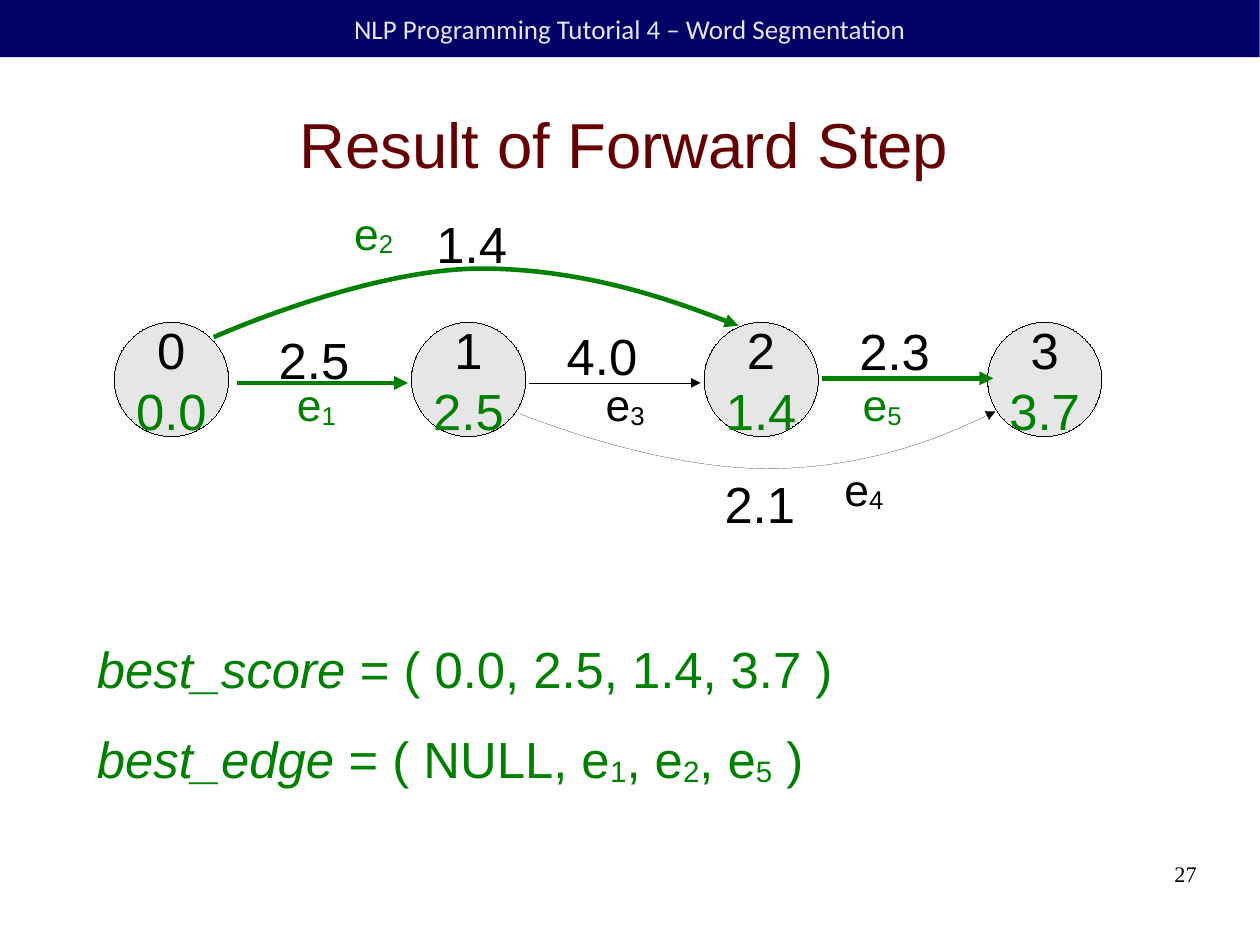
from lxml.etree import SubElement
from pptx import Presentation
from pptx.dml.color import RGBColor
from pptx.enum.shapes import MSO_CONNECTOR, MSO_SHAPE
from pptx.enum.text import MSO_ANCHOR, PP_ALIGN
from pptx.oxml.ns import qn
from pptx.util import Cm, Inches, Pt

BLACK, GREEN, GREY = "000000", "008000", "E6E6E6"
NAVY, LAVENDER, MAROON = "000066", "E6E6FF", "660000"
HAIRLINE, BOLD_LINE = 0, 2.89


def rgb(value):
    return RGBColor.from_string(value)


def add_text(paragraph, text, size=32, color=BLACK, font="Arial", italic=False, sub=False):
    run = paragraph.add_run()
    run.text = text
    run.font.size = Pt(size)
    run.font.name = font
    run.font.italic = italic
    run.font.color.rgb = rgb(color)
    if sub:
        run.font._element.set("baseline", "-8000")


def edge_name(number):
    return [("e", {}), (number, {"sub": True})]


def set_line(part, color, width):
    part.line.color.rgb = rgb(color)
    part.line.width = Pt(width)
    part.line._get_or_add_ln().set("w", str(Pt(width)))
    part._element.remove(part._element.find(qn("p:style")))


class LatticeSlide:
    """Draws the parts of a word lattice on one slide."""

    def __init__(self, presentation):
        self.shapes = presentation.slides.add_slide(presentation.slide_layouts[6]).shapes

    def text(self, left, top, width, height, runs, align=PP_ALIGN.LEFT,
             anchor=MSO_ANCHOR.TOP, wrap=False, padded=True, **style):
        frame = self.shapes.add_textbox(*map(Inches, (left, top, width, height))).text_frame
        frame.word_wrap = wrap
        frame.vertical_anchor = anchor
        if not padded:
            frame.margin_left = frame.margin_right = frame.margin_top = frame.margin_bottom = 0
        paragraph = frame.paragraphs[0]
        paragraph.alignment = align
        for words, extra in runs:
            add_text(paragraph, words, **{**style, **extra})

    def header(self, title):
        bar = self.shapes.add_shape(MSO_SHAPE.RECTANGLE, 0, 0, Inches(11.02), Inches(0.5))
        bar.shadow.inherit = False
        bar.fill.solid()
        bar.fill.fore_color.rgb = rgb(NAVY)
        bar.line.fill.background()
        bar.text_frame.vertical_anchor = MSO_ANCHOR.MIDDLE
        paragraph = bar.text_frame.paragraphs[0]
        paragraph.alignment = PP_ALIGN.CENTER
        add_text(paragraph, title, size=17, color=LAVENDER, font="Calibri")

    def node(self, left, name, score):
        circle = self.shapes.add_shape(
            MSO_SHAPE.OVAL, Inches(left), Inches(2.82), Inches(1), Inches(1))
        circle.shadow.inherit = False
        circle.fill.solid()
        circle.fill.fore_color.rgb = rgb(GREY)
        set_line(circle, BLACK, HAIRLINE)
        frame = circle.text_frame
        frame.word_wrap = False
        frame.vertical_anchor = MSO_ANCHOR.MIDDLE
        for paragraph, words, color in (
                (frame.paragraphs[0], name, BLACK), (frame.add_paragraph(), score, GREEN)):
            paragraph.alignment = PP_ALIGN.CENTER
            add_text(paragraph, words, color=color)

    def weight(self, left, top, value):
        self.text(left, top, 0.82, 0.6, [(value, {})])

    def edge_label(self, left, top, number, color):
        self.text(left, top, 0.54, 0.66, edge_name(number), size=28, color=color)

    def arrowhead(self, edge, color, width):
        set_line(edge, color, width)
        SubElement(edge.line._get_or_add_ln(), qn("a:tailEnd"), type="triangle")

    def straight_edge(self, left, top, color, width):
        edge = self.shapes.add_connector(
            MSO_CONNECTOR.STRAIGHT, *map(Inches, (left, top, left + 1.5, top)))
        self.arrowhead(edge, color, width)
        SubElement(edge._element.spPr, qn("a:effectLst"))

    def curved_edge(self, start, controls, color, width):
        builder = self.shapes.build_freeform(*map(Inches, start), scale=1.0)
        builder.add_line_segments([tuple(map(Inches, point)) for point in controls], close=False)
        edge = builder.convert_to_shape()
        outline = next(edge._element.iter(qn("a:path")))
        outline.set("fill", "none")
        segments = outline.findall(qn("a:lnTo"))
        for first in range(0, len(segments), 3):
            curve = SubElement(outline, qn("a:cubicBezTo"))
            for segment in segments[first:first + 3]:
                curve.append(segment[0])
                outline.remove(segment)
        edge.fill.background()
        self.arrowhead(edge, color, width)
        edge.shadow.inherit = False


def main():
    presentation = Presentation()
    presentation.slide_width = Cm(28)
    presentation.slide_height = Cm(21)
    lattice = LatticeSlide(presentation)

    lattice.header("NLP Programming Tutorial 4 – Word Segmentation")
    lattice.text(0.5, 0.62, 9.92, 1.27, [("Result of Forward Step", {})], PP_ALIGN.CENTER,
                 MSO_ANCHOR.MIDDLE, wrap=True, padded=False, size=40, color=MAROON)

    for left, name, score in ((1, "0", "0.0"), (3.6, "1", "2.5"),
                              (6.16, "2", "1.4"), (8.64, "3", "3.7")):
        lattice.node(left, name, score)

    for left, top, value in ((2.34, 2.83, "2.5"), (4.86, 2.79, "4.0"), (7.42, 2.75, "2.3"),
                             (6.24, 4.09, "2.1"), (3.72, 1.81, "1.4")):
        lattice.weight(left, top, value)

    lattice.curved_edge((4.55, 3.62), [(4.55, 3.62), (5.71, 4.1), (6.71, 4.1),
                                       (7.71, 4.1), (8.71, 3.6), (8.71, 3.6)], BLACK, HAIRLINE)
    lattice.curved_edge((1.87, 2.95), [(1.87, 2.95), (3.21, 2.35), (4.21, 2.35),
                                       (5.21, 2.35), (6.46, 2.85), (6.46, 2.85)], GREEN, BOLD_LINE)
    for left, top, color, width in ((4.63, 3.35, BLACK, HAIRLINE), (7.19, 3.31, GREEN, BOLD_LINE),
                                    (2.07, 3.35, GREEN, BOLD_LINE)):
        lattice.straight_edge(left, top, color, width)

    for left, top, number, color in ((2.5, 3.25, "1", GREEN), (3, 1.75, "2", GREEN),
                                     (5.2, 3.25, "3", BLACK), (7.45, 3.25, "5", GREEN),
                                     (7.29, 3.99, "4", BLACK)):
        lattice.edge_label(left, top, number, color)

    lattice.text(0.75, 5.53, 6.65, 0.6, [("best_score", {"italic": True}),
                                         (" = ( 0.0, 2.5, 1.4, 3.7 )", {})], color=GREEN)
    best_edges = [("best_edge", {"italic": True}), (" = ( NULL", {})]
    for number in "125":
        best_edges += [(", ", {})] + edge_name(number)
    lattice.text(0.75, 6.32, 6.39, 0.74, best_edges + [(" )", {})], color=GREEN)

    lattice.text(7.9, 7.53, 2.57, 0.57, [("27", {})], PP_ALIGN.RIGHT, wrap=True,
                 padded=False, size=14, font="Times New Roman")
    presentation.save("out.pptx")


if __name__ == "__main__":
    main()
